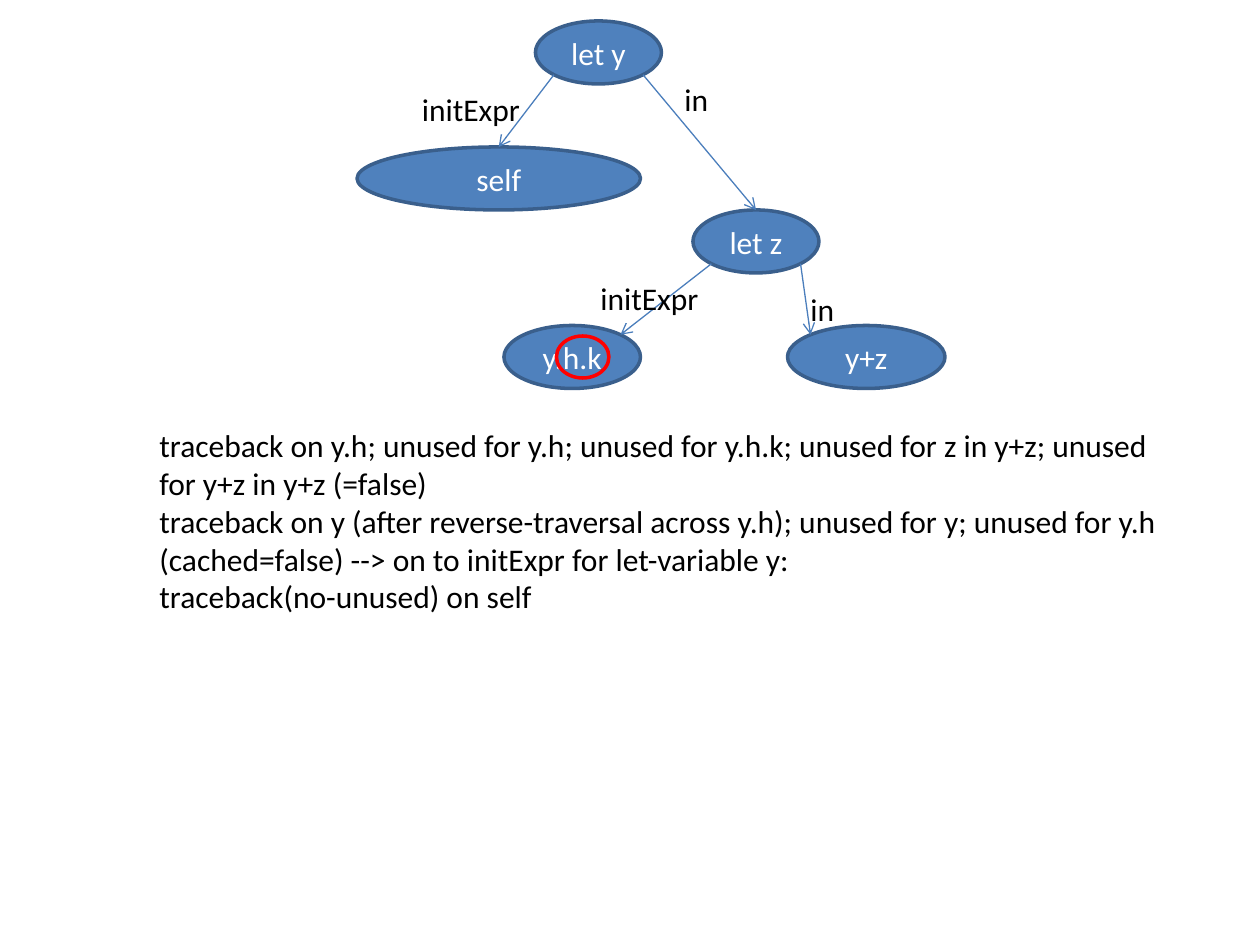
from math import sqrt

from lxml.etree import SubElement
from pptx import Presentation
from pptx.dml.color import RGBColor
from pptx.enum.shapes import MSO_CONNECTOR as Connector, MSO_SHAPE as Shape
from pptx.enum.text import MSO_ANCHOR as Anchor, MSO_AUTO_SIZE as AutoSize, PP_ALIGN as Align
from pptx.oxml.ns import qn
from pptx.util import Pt

COLORS = {
    "node": "4F81BD",
    "outline": "3A5F8C",
    "edge": "4B7EBC",
    "ring": "FF0000",
    "node_text": "FFFFFF",
    "text": "000000",
}


class TreeSlide:
    font = "Calibri"
    font_size = 18
    outline_width = 2
    edge_width = 0.75
    node_height = 36

    def __init__(self, slide):
        self.shapes = slide.shapes

    def color(self, name):
        return RGBColor.from_string(COLORS[name])

    def fill_text(self, frame, text, color, align=Align.LEFT):
        frame.text = text
        for paragraph in frame.paragraphs:
            paragraph.alignment = align
            for run in paragraph.runs:
                run.font.name = self.font
                run.font.size = Pt(self.font_size)
                run.font.color.rgb = self.color(color)

    def ellipse(self, left, top, width, height, outline):
        oval = self.shapes.add_shape(Shape.OVAL, Pt(left), Pt(top), Pt(width), Pt(height))
        oval.shadow.inherit = False
        oval.line.color.rgb = self.color(outline)
        oval.line.width = Pt(self.outline_width)
        return oval

    def node(self, text, left, top, width):
        oval = self.ellipse(left, top, width, self.node_height, "outline")
        oval.fill.solid()
        oval.fill.fore_color.rgb = self.color("node")
        oval.text_frame.vertical_anchor = Anchor.MIDDLE
        self.fill_text(oval.text_frame, text, "node_text", Align.CENTER)
        return oval

    def ring(self, left, top, width, height):
        self.ellipse(left, top, width, height, "ring").fill.background()

    def site(self, node, across, down):
        reach = 1 / sqrt(2) if across else 1
        x = node.left + node.width / 2 * (1 + across * reach)
        y = node.top + node.height / 2 * (1 + down * reach)
        return round(x), round(y)

    def edge(self, parent, parent_side, child, child_side):
        start = self.site(parent, parent_side, 1)
        end = self.site(child, child_side, -1)
        arrow = self.shapes.add_connector(Connector.STRAIGHT, *start, *end)
        arrow.line.color.rgb = self.color("edge")
        arrow.line.width = Pt(self.edge_width)
        properties = arrow._element.spPr
        SubElement(properties.get_or_add_ln(), qn("a:tailEnd"), type="arrow")
        SubElement(properties, qn("a:effectLst"))

    def text(self, text, left, top, width, height, wrap=False):
        box = self.shapes.add_textbox(Pt(left), Pt(top), Pt(width), Pt(height))
        box.text_frame.word_wrap = wrap
        box.text_frame.auto_size = AutoSize.SHAPE_TO_FIT_TEXT
        self.fill_text(box.text_frame, text, "text")


def main():
    deck = Presentation()
    deck.slide_width, deck.slide_height = Pt(720), Pt(540)
    tree = TreeSlide(deck.slides.add_slide(deck.slide_layouts[6]))

    let_y = tree.node("let y", 306, 12, 72)
    self_node = tree.node("self", 204, 84, 162)
    let_z = tree.node("let z", 396, 120, 72)
    navigation = tree.node("y.h.k", 288, 186, 78)
    total = tree.node("y+z", 450, 186, 90)

    tree.edge(let_y, -1, self_node, 0)
    tree.edge(let_y, 1, let_z, 0)
    tree.edge(let_z, -1, navigation, 1)
    tree.edge(let_z, 1, total, -1)

    for left, top in ((384, 42), (456, 162)):
        tree.text("in", left, top, 28, 29)
    for left, top in ((234, 48), (336, 156)):
        tree.text("initExpr", left, top, 71, 29)

    tree.ring(318, 192, 30, 24)

    steps = (
        "traceback on y.h; unused for y.h; unused for y.h.k; unused for z in y+z; "
        "unused for y+z in y+z (=false)",
        "traceback on y (after reverse-traversal across y.h); unused for y; "
        "unused for y.h (cached=false) --> on to initExpr for let-variable y:",
        "traceback(no-unused) on self",
    )
    tree.text("\n".join(steps), 84, 240, 594, 116.5, wrap=True)

    deck.save("out.pptx")


if __name__ == "__main__":
    main()
